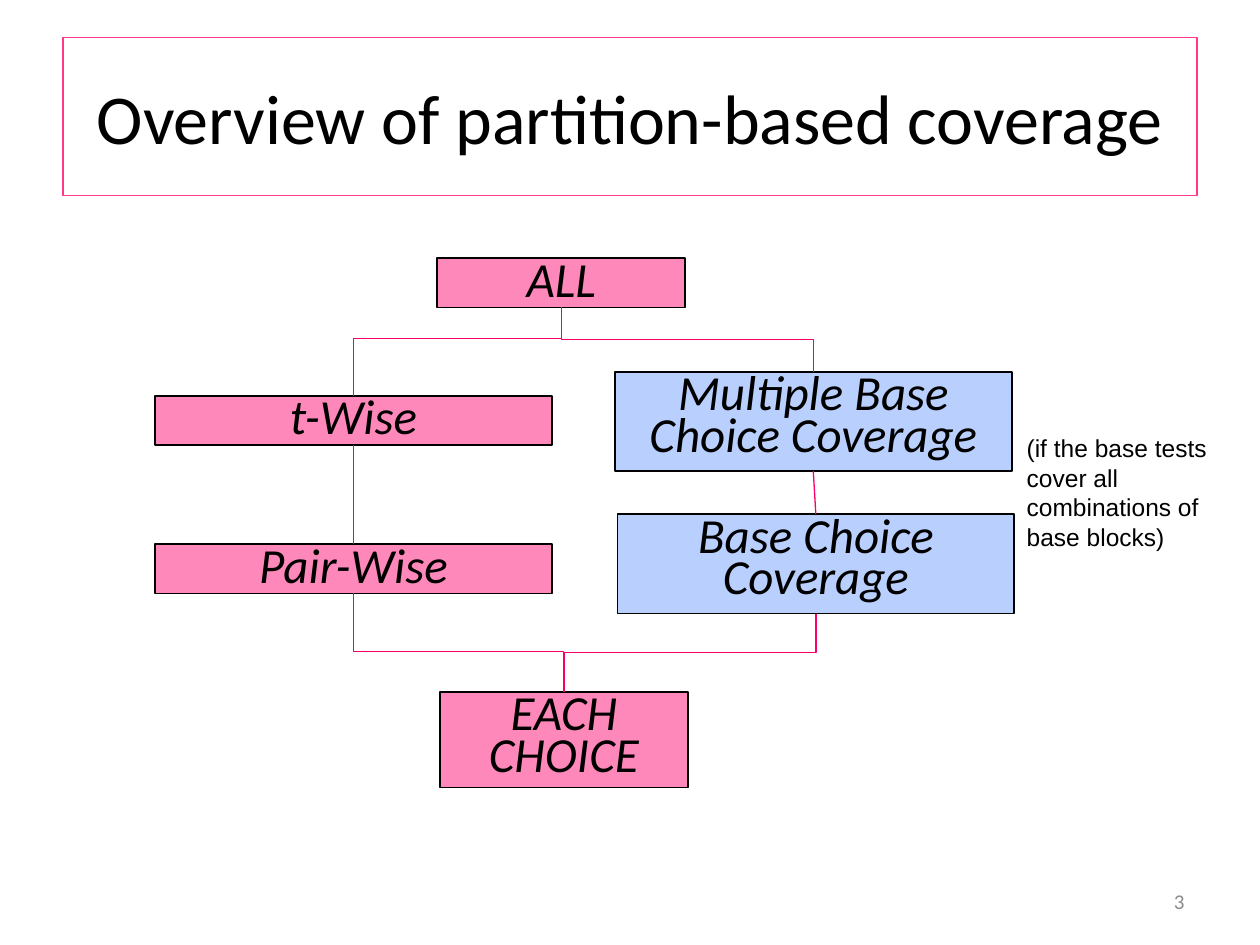
from pptx import Presentation
from pptx.dml.color import RGBColor
from pptx.enum.shapes import MSO_CONNECTOR as Link, MSO_SHAPE as Shape
from pptx.enum.text import MSO_ANCHOR as Anchor, PP_ALIGN as Align
from pptx.oxml.ns import qn
from pptx.util import Inches, Pt
from lxml.etree import SubElement

PINK, BLUE, LINK = "FF88BA", "B9D0FF", "F90069"
TITLE = "Overview of partition-based coverage"
NOTE = "(if the base tests cover all combinations of base blocks)"
CRITERIA = {
    "each": ("EACH CHOICE", PINK, (3.49, 5.49, 1.97, 0.76)),
    "all": ("ALL", PINK, (3.47, 2.05, 1.97, 0.39)),
    "t-wise": ("t-Wise", PINK, (1.23, 3.14, 3.15, 0.39)),
    "multiple": ("Multiple Base Choice Coverage", BLUE, (4.88, 2.95, 3.15, 0.79)),
    "pair": ("Pair-Wise", PINK, (1.23, 4.32, 3.15, 0.39)),
    "base": ("Base Choice Coverage", BLUE, (4.9, 4.08, 3.15, 0.79)),
}
STRAIGHT = [("t-wise", "pair"), ("multiple", "base")]
BENT = [("all", "multiple", 0.5), ("all", "t-wise", 0.35),
        ("pair", "each", 0.59), ("base", "each", 0.5)]


def color(value):
    """Turn a hex string into a colour."""
    return RGBColor.from_string(value)


def write(box, text, size, font="Calibri", ink="000000", align=Align.LEFT,
          anchor=Anchor.TOP, italic=False, spacing=None):
    """Put one formatted paragraph in a box."""
    frame = box.text_frame
    frame.word_wrap = True
    frame.vertical_anchor = anchor
    para = frame.paragraphs[0]
    para.alignment = align
    para.line_spacing = spacing
    span = para.add_run()
    span.text = text
    span.font.size = Pt(size)
    span.font.name = font
    span.font.italic = italic
    span.font.color.rgb = color(ink)


def add_box(page, place, line, width, fill=None):
    """Add an outlined rectangle."""
    box = page.shapes.add_shape(Shape.RECTANGLE, *map(Inches, place))
    box.shadow.inherit = False
    if fill:
        box.fill.solid()
        box.fill.fore_color.rgb = color(fill)
    else:
        box.fill.background()
    box.line.color.rgb = color(line)
    box.line.width = Pt(width)
    return box


def add_link(page, kind, *ends):
    """Add a connector without a shadow."""
    link = page.shapes.add_connector(kind, *map(int, ends))
    link.line.color.rgb = color(LINK)
    link.line.width = Pt(0.75)
    SubElement(link._element.spPr, qn("a:effectLst"))
    return link


def add_bent(page, upper, lower, bend):
    """Route an elbow from the bottom of one box to the top of another."""
    x1, y1 = upper.left + upper.width / 2, upper.top + upper.height
    x2, y2 = lower.left + lower.width / 2, lower.top
    mid_x, mid_y = (x1 + x2) / 2, (y1 + y2) / 2
    rightward = x2 > x1
    reach = (y2 - y1) / 2 * (-1 if rightward else 1)
    half = abs(x2 - x1) / 2
    link = add_link(page, Link.ELBOW, mid_x - reach, mid_y - half,
                    mid_x + reach, mid_y + half)
    props = link._element.spPr
    props.find(qn("a:xfrm")).set("rot", str((270 if rightward else 90) * 60000))
    guides = props.find(qn("a:prstGeom")).find(qn("a:avLst"))
    SubElement(guides, qn("a:gd"), name="adj1", fmla=f"val {round(bend * 100000)}")


def main():
    """Build the slide."""
    deck = Presentation()
    deck.slide_width, deck.slide_height = Inches(10), Inches(7.5)
    page = deck.slides.add_slide(deck.slide_layouts[6])

    title = add_box(page, (0.5, 0.3, 9, 1.25), "FF388C", 0.75)
    write(title, TITLE, 40, align=Align.CENTER, anchor=Anchor.MIDDLE)
    number = page.shapes.add_textbox(*map(Inches, (7.17, 6.95, 2.33, 0.4)))
    write(number, "3", 12, ink="8C8C8C", align=Align.RIGHT, anchor=Anchor.MIDDLE)

    boxes = {}
    for key, (text, fill, place) in CRITERIA.items():
        boxes[key] = add_box(page, place, "000000", 1, fill)
        write(boxes[key], text, 28, align=Align.CENTER, italic=True, spacing=0.7)

    for upper, lower, bend in BENT:
        add_bent(page, boxes[upper], boxes[lower], bend)
    for upper, lower in STRAIGHT:
        link = add_link(page, Link.STRAIGHT, 0, 0, 0, 0)
        link.begin_connect(boxes[upper], 2)
        link.end_connect(boxes[lower], 0)

    note = page.shapes.add_textbox(*map(Inches, (8.05, 3.39, 1.76, 1.04)))
    write(note, NOTE, 14, font="Arial")
    deck.save("out.pptx")


if __name__ == "__main__":
    main()
